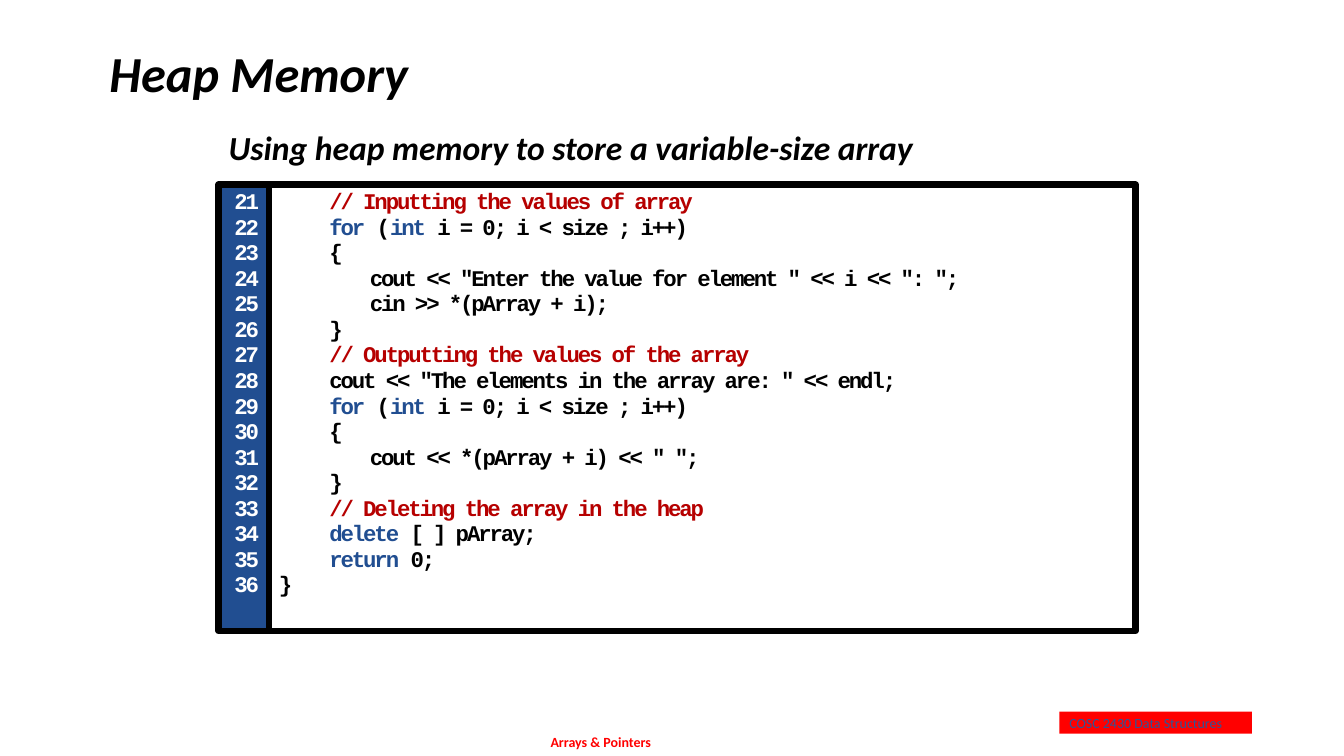
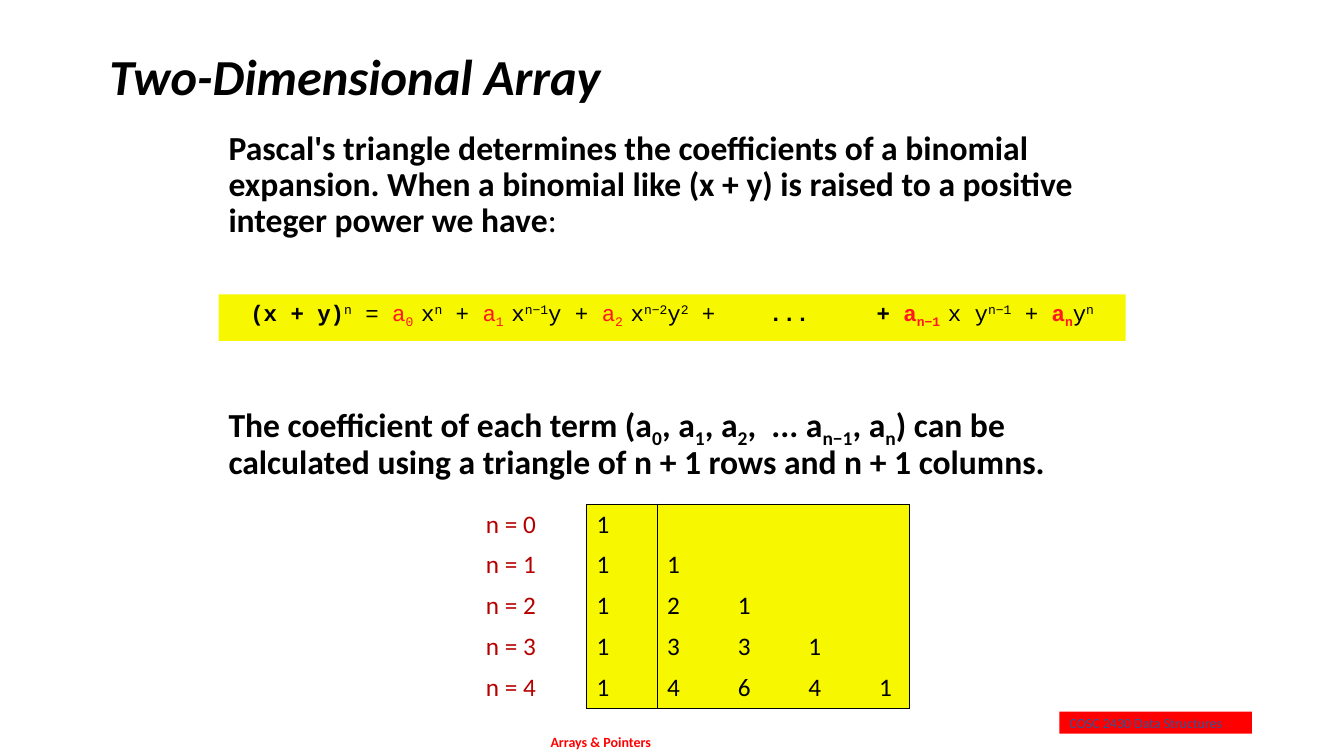
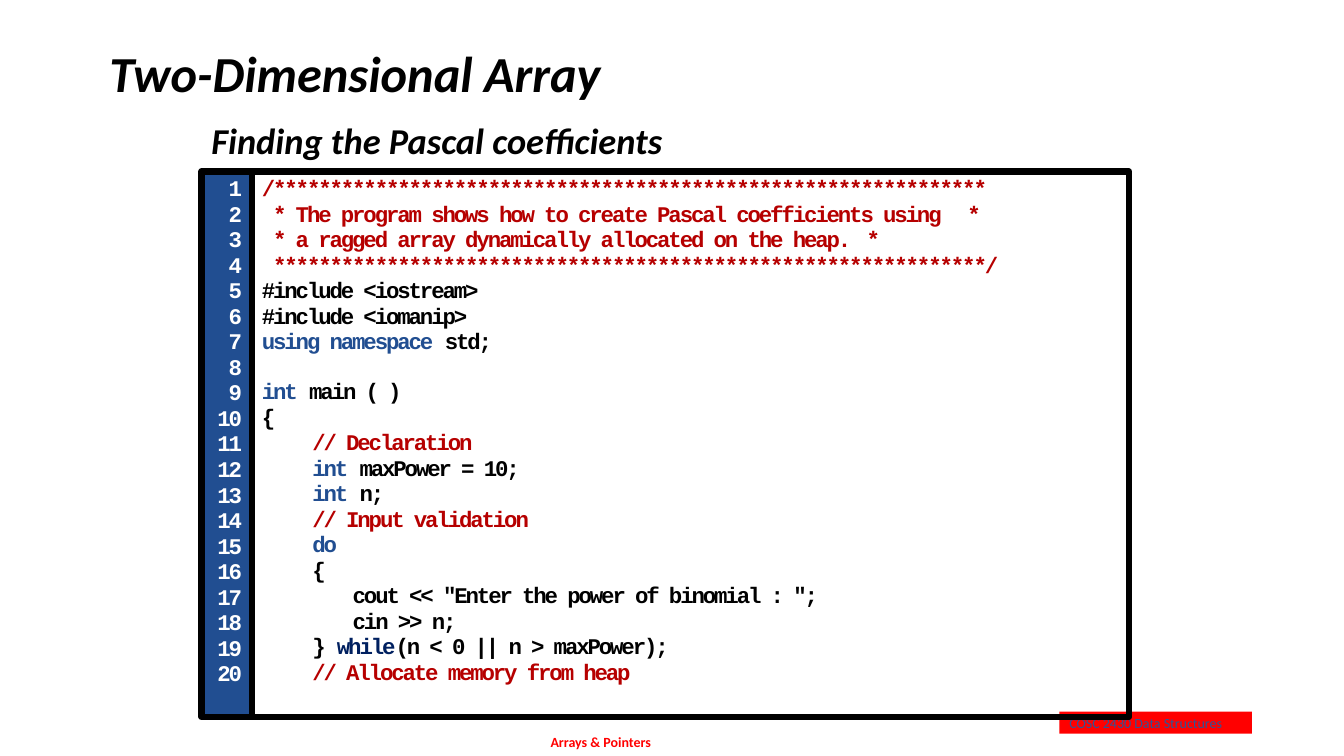
from pptx import Presentation, util as u
from pptx.dml.color import RGBColor
from pptx.enum import shapes, text
from pptx.oxml.ns import qn
from lxml import etree

THEME = {
    "black": "000000", "white": "FFFFFF", "red": "FF0000", "blue": "214E91",
    "navy": "002060", "comment": "B60000", "term": "FF1721", "yellow": "F7F700",
    "course": "2F5597", "sans": "Calibri", "mono": "Courier New",
    "title": 36, "heading": 26, "body": 24, "cell": 18, "code": 16, "footer": 10,
    "frame": 4.5, "rule": 0.5, "code_spacing": 0.95, "code_pitch": 17.2,
}
FOOTER = "Arrays & Pointers"
COURSE = "COSC 2430 Data Structures"
INDENTS = (0, 1.27, 2.29)
NO_GRID = "{2D5ABB26-0587-4C30-8999-92F81FD0307C}"
STARS = "*" * 63

HEAP_CODE = [
    (1, "// Inputting the values of array"),
    (1, "`for `(`int `i = 0; i < size ; i++)"),
    (1, "{"),
    (2, 'cout << "Enter the value for element " << i << ": ";'),
    (2, "cin >> *(pArray + i);"),
    (1, "}"),
    (1, "// Outputting the values of the array"),
    (1, 'cout << "The elements in the array are: " << endl;'),
    (1, "`for `(`int `i = 0; i < size ; i++)"),
    (1, "{"),
    (2, 'cout << *(pArray + i) << " ";'),
    (1, "}"),
    (1, "// Deleting the array in the heap"),
    (1, "`delete `[ ] pArray;"),
    (1, "`return `0;"),
    (0, "}"),
]
PASCAL_CODE = [
    (0, "/" + STARS),
    (0, " * The program shows how to create Pascal coefficients using\t*", 17.96),
    (0, " * a ragged array dynamically allocated on the heap.\t*", 20.62),
    (0, " " + STARS + "/"),
    (0, "#include <iostream>"),
    (0, "#include <iomanip>"),
    (0, "`using namespace `std;"),
    (0, ""),
    (0, "`int `main ( )"),
    (0, "{"),
    (1, "// Declaration"),
    (1, "`int `maxPower = 10;"),
    (1, "`int `n;"),
    (1, "// Input validation"),
    (1, "`do`"),
    (1, "{"),
    (2, 'cout << "Enter the power of binomial : ";'),
    (2, "cin >> n;"),
    (1, "}` while`(n < 0 || n > maxPower);"),
    (1, "// Allocate memory from heap"),
]
INTRO = [
    ("Pascal's triangle determines the coefficients of a binomial expansion. "
     "When a binomial like (x + y) is raised to a positive integer power we have", "b"),
    (":", ""),
]
EXPANSION = [
    ("(x + y)", "b"), ("n", "^"), (" = ", ""),
    ("a", "r"), ("0 ", "r_"), ("x", ""), ("n", "^"), (" + ", ""),
    ("a", "r"), ("1 ", "r_"), ("x", ""), ("n−1", "^"), ("y + ", ""),
    ("a", "r"), ("2 ", "r_"), ("x", ""), ("n−2", "^"), ("y", ""), ("2", "^"),
    (" +", ""), (" ", "4"), ("...", "b"), (" ", "5"), ("+ ", "b"),
    ("a", "rb"), ("n−1 ", "rb_"), ("x y", ""), ("n−1", "^"), (" + ", ""),
    ("a", "rb"), ("n", "rb_"), ("y", ""), ("n", "^"),
]
COEFFICIENTS = [
    ("The coefficient of each term (a", "b"), ("0", "b_"), (", a", "b"), ("1", "b_"),
    (", a", "b"), ("2", "b_"), (",  ... a", "b"), ("n−1", "b_"), (", a", "b"), ("n", "b_"),
    (") can be calculated using a triangle of n + 1 rows and n + 1 columns.", "b"),
]
TRIANGLE = [[1], [1, 1], [1, 2, 1], [1, 3, 3, 1], [1, 4, 6, 4, 1]]
TRIANGLE_COLS = [3.81] + [1.78] * 4 + [1.02]


def color(name):
    return RGBColor.from_string(THEME[name])


def box(s, at, fill=None, line=None):
    at = [u.Cm(v) for v in at]
    if fill or line:
        sp = s.shapes.add_shape(shapes.MSO_SHAPE.RECTANGLE, *at)
        sp.shadow.inherit = False
        sp.fill.background()
        sp.line.fill.background()
    else:
        sp = s.shapes.add_textbox(*at)
    if fill:
        sp.fill.solid()
        sp.fill.fore_color.rgb = color(fill)
    if line:
        sp.line.color.rgb = color(line)
        sp.line.width = u.Pt(THEME["frame"])
        etree.SubElement(sp.line._get_or_add_ln(), qn("a:round"))
    sp.text_frame.word_wrap = True
    sp.text_frame.vertical_anchor = text.MSO_ANCHOR.TOP
    return sp


def add_run(p, words, size, face="sans", ink="black", attrs=None, **fmt):
    r = p.add_run()
    r.text = words
    fmt.update(name=THEME[face], size=u.Pt(THEME[size]))
    for key, value in fmt.items():
        setattr(r.font, key, value)
    r.font.color.rgb = color(ink)
    for key, value in (attrs or {}).items():
        r._r.get_or_add_rPr().set(key, str(value))


def paragraph(tf, first, align="LEFT", spacing=0.9):
    p = tf.paragraphs[0] if first else tf.add_paragraph()
    p.alignment = getattr(text.PP_ALIGN, align)
    p.line_spacing = spacing
    return p


def line_of_text(s, at, words, size, align="LEFT", spacing=0.9, **fmt):
    sp = box(s, at)
    add_run(paragraph(sp.text_frame, True, align, spacing), words, size, **fmt)
    return sp


def rich_text(s, at, runs, size, face="sans", fill=None, align="LEFT"):
    p = paragraph(box(s, at, fill).text_frame, True, align)
    for words, flags in runs:
        attrs = {}
        if "^" in flags:
            attrs["baseline"] = 30000
        if "_" in flags:
            attrs["baseline"] = -25000
        if flags.isdigit():
            attrs["spc"] = (int(flags) - 1) * 960
        add_run(p, words, size, face, "term" if "r" in flags else "black",
                attrs, bold="b" in flags)


def code_line(p, level, words, tab=None):
    pPr = p._p.get_or_add_pPr()
    pPr.set("marL", str(u.Cm(INDENTS[level])))
    pPr.set("indent", "0")
    if tab:
        stops = etree.SubElement(pPr, qn("a:tabLst"))
        etree.SubElement(stops, qn("a:tab"), pos=str(u.Cm(tab)), algn="l")
    base = "comment" if words.startswith(("//", "/*", " *")) else "black"
    for i, part in enumerate(words.split("`")):
        ink = base
        if i % 2:
            ink = "navy" if part.strip() == "while" else "blue"
        if part:
            add_run(p, part, "code", "mono", ink, {"spc": -150}, bold=True)


def code_panel(s, left, top, width, height, lines, start):
    gutter_width = 1.27
    gutter = box(s, (left, top, gutter_width, height), "blue", "black").text_frame
    listing = box(s, (left + gutter_width, top, width, height), line="black").text_frame
    skipped = 0
    for i, line in enumerate(lines):
        p = paragraph(gutter, i == 0, "RIGHT", THEME["code_spacing"])
        add_run(p, str(start + i), "code", "mono", "white", {"spc": -150}, bold=True)
        if not line[1]:
            skipped += 1
            continue
        p = paragraph(listing, i == 0, spacing=THEME["code_spacing"])
        if skipped:
            p.space_before = u.Pt(skipped * THEME["code_pitch"])
            skipped = 0
        code_line(p, *line)


def border(cell, sides):
    tcPr = cell._tc.get_or_add_tcPr()
    for side in sides:
        ln = etree.SubElement(tcPr, qn("a:ln" + side), w=str(u.Pt(THEME["rule"])))
        fill = etree.SubElement(ln, qn("a:solidFill"))
        etree.SubElement(fill, qn("a:srgbClr"), val=THEME["black"])


def triangle_table(s, left, top, row_height):
    rows, cols = len(TRIANGLE), len(TRIANGLE_COLS)
    size = (left, top, sum(TRIANGLE_COLS), rows * row_height)
    table = s.shapes.add_table(rows, cols, *[u.Cm(v) for v in size]).table
    table.first_row = table.horz_banding = False
    table._tbl.tblPr.find(qn("a:tableStyleId")).text = NO_GRID
    for column, width in zip(table.columns, TRIANGLE_COLS):
        column.width = u.Cm(width)
    for n, values in enumerate(TRIANGLE):
        table.rows[n].height = u.Cm(row_height)
        entries = [f"n = {n}"] + values
        for c in range(cols):
            cell = table.cell(n, c)
            edges = {"L": c == 1, "R": c in (0, cols - 1),
                     "T": c and n == 0, "B": c and n == rows - 1}
            border(cell, [side for side, shown in edges.items() if shown])
            if c:
                cell.fill.solid()
                cell.fill.fore_color.rgb = color("yellow")
            else:
                cell.fill.background()
            if c < len(entries):
                p = paragraph(cell.text_frame, True, "LEFT" if c else "CENTER", 1.0)
                add_run(p, str(entries[c]), "cell", ink="black" if c else "comment")


def new_slide(prs, title, title_spacing=0.9):
    s = prs.slides.add_slide(prs.slide_layouts[6])
    tf = box(s, (10.06, 18.54, 10.16, 0.51), "white").text_frame
    for side in ("left", "top", "right", "bottom"):
        setattr(tf, "margin_" + side, 0)
    add_run(paragraph(tf, True, "CENTER"), FOOTER, "footer", ink="red", bold=True)
    box(s, (26.7, 17.93, 4.85, 0.56), "red")
    line_of_text(s, (26.7, 17.88, 6, 0.69), COURSE, "footer", spacing=1.0, ink="course")
    sp = line_of_text(s, (2.51, 0.64, 30.48, 2.54), title, "title",
                      spacing=title_spacing, bold=True, italic=True)
    sp.text_frame.vertical_anchor = text.MSO_ANCHOR.MIDDLE
    return s


def main():
    prs = Presentation()
    prs.slide_width, prs.slide_height = u.Cm(33.87), u.Cm(19.05)

    s = new_slide(prs, "Heap Memory")
    line_of_text(s, (5.51, 3.18, 22.86, 1.47),
                 "Using heap memory to store a variable-size array", "body",
                 bold=True, italic=True)
    code_panel(s, 5.51, 4.65, 21.84, 11.25, HEAP_CODE, 21)

    s = new_slide(prs, "Two-Dimensional Array", 1.0)
    rich_text(s, (5.51, 3.18, 22.86, 3.66), INTRO, "body")
    rich_text(s, (5.51, 7.42, 22.86, 1.17), EXPANSION, "code", "mono", "yellow", "CENTER")
    rich_text(s, (5.51, 10.06, 22.86, 2.34), COEFFICIENTS, "body")
    triangle_table(s, 10.97, 12.7, 1.03)

    s = new_slide(prs, "Two-Dimensional Array")
    line_of_text(s, (5.08, 2.97, 23.29, 1.19), "Finding the Pascal coefficients",
                 "heading", bold=True, italic=True)
    code_panel(s, 5.08, 4.32, 22.1, 13.75, PASCAL_CODE, 1)

    prs.save("out.pptx")


if __name__ == "__main__":
    main()
